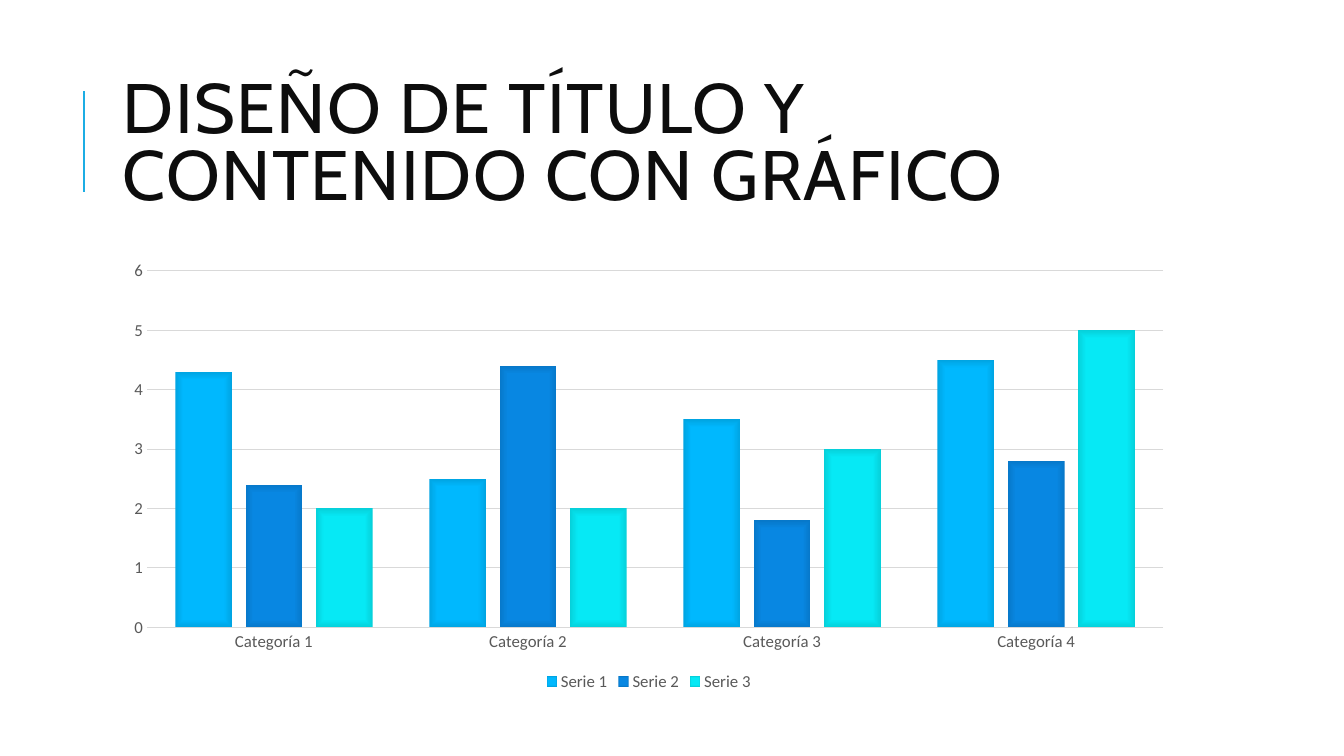
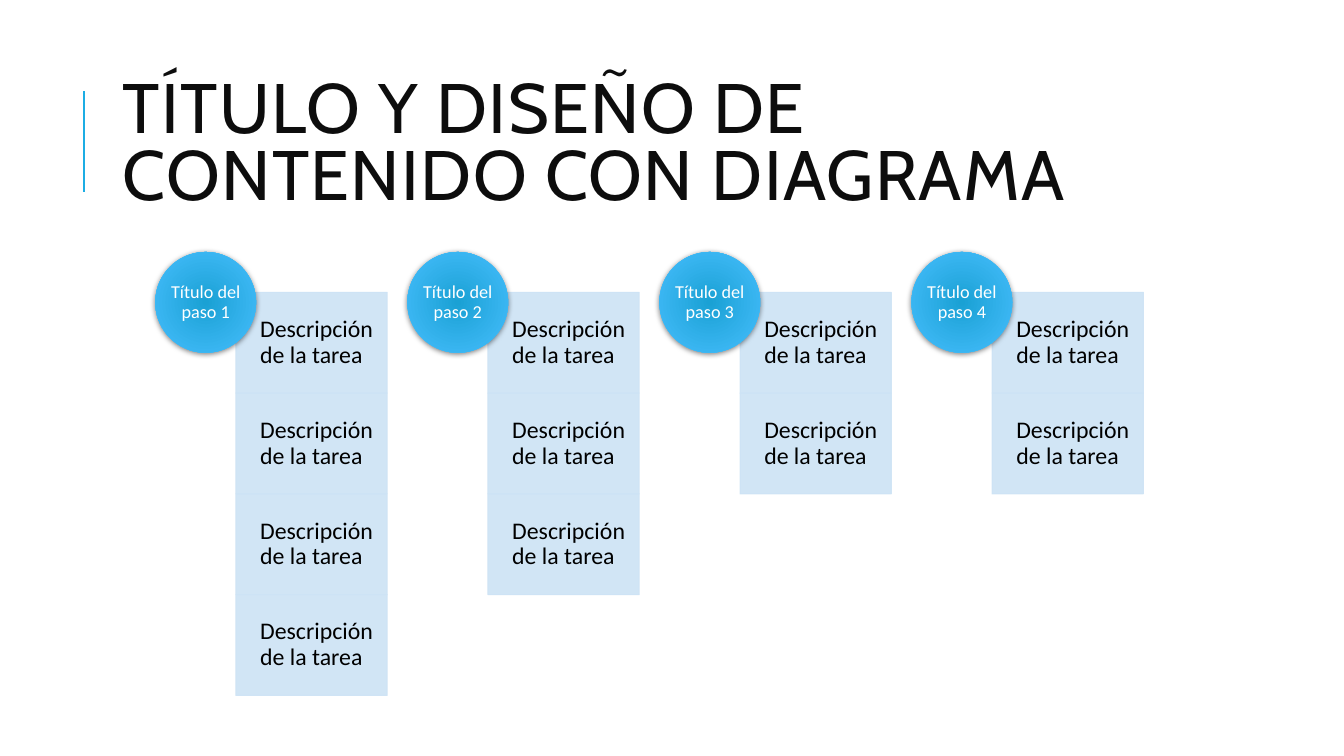
from lxml import etree
from pptx import Presentation
from pptx.chart.data import CategoryChartData
from pptx.dml.color import RGBColor
from pptx.enum.chart import XL_CHART_TYPE, XL_LEGEND_POSITION, XL_TICK_MARK
from pptx.enum.shapes import MSO_CONNECTOR, MSO_SHAPE
from pptx.enum.text import MSO_ANCHOR, PP_ALIGN
from pptx.oxml import parse_xml
from pptx.oxml.ns import nsdecls, qn
from pptx.util import Inches, Pt

COLUMNS = XL_CHART_TYPE.COLUMN_CLUSTERED
BOTTOM = XL_LEGEND_POSITION.BOTTOM
NO_TICK = XL_TICK_MARK.NONE
STRAIGHT = MSO_CONNECTOR.STRAIGHT
RECTANGLE, OVAL = MSO_SHAPE.RECTANGLE, MSO_SHAPE.OVAL
MIDDLE = MSO_ANCHOR.MIDDLE
LEFT, CENTER = PP_ALIGN.LEFT, PP_ALIGN.CENTER

# Content
CHART_TITLE = "DISEÑO DE TÍTULO Y CONTENIDO CON GRÁFICO"
STEPS_TITLE = "TÍTULO Y DISEÑO DE CONTENIDO CON DIAGRAMA"
CATEGORIES = ["Categoría 1", "Categoría 2", "Categoría 3", "Categoría 4"]
SERIES = [
    ("Serie 1", (4.3, 2.5, 3.5, 4.5), ((0, "01B9FF"), (71, "00B8FE"), (100, "00A4E2"))),
    ("Serie 2", (2.4, 4.4, 1.8, 2.8), ((0, "0888E4"), (71, "0887E2"), (100, "0778C9"))),
    ("Serie 3", (2, 2, 3, 5), ((0, "06EBF8"), (71, "06E9F5"), (100, "06D0DA"))),
]
TASK = "Descripción de la tarea"
STEPS = [
    ("Título del paso 1", [TASK] * 4),
    ("Título del paso 2", [TASK] * 3),
    ("Título del paso 3", [TASK] * 2),
    ("Título del paso 4", [TASK] * 2),
]

# Shared style
COLORS = {
    "accent": "1CADE4", "title": "0D0D0D", "task": "CDE3F5", "black": "000000",
    "white": "FFFFFF", "label": "595959", "grid": "D9D9D9",
}
BADGE_STOPS = ((0, "1AA1D4"), (100, "48BFFF"))
TITLE_FONT, BODY_FONT = "Cabin", "Calibri"

# Step diagram geometry, in inches
STEP_LEFT, STEP_TOP, STEP_PITCH = 1.54, 2.5, 2.5
BADGE_SIZE = 1
TASK_SHIFT, TASK_DROP = 0.8, 0.4
TASK_WIDTH, TASK_HEIGHT = 1.5, 1


def rgb(name):
    return RGBColor.from_string(COLORS[name])


def style_font(font, name, size, color):
    font.name, font.size = name, Pt(size)
    font.color.rgb = rgb(color)


def write(shape, text, font, size, color, align, spacing, insets):
    frame = shape.text_frame
    frame.word_wrap = True
    frame.vertical_anchor = MIDDLE
    (frame.margin_left, frame.margin_top,
     frame.margin_right, frame.margin_bottom) = [Inches(inset) for inset in insets]
    para = frame.paragraphs[0]
    para.text = text
    para.alignment, para.line_spacing = align, spacing
    style_font(para.font, font, size, color)
    return para


def set_gradient(fill, properties, stops, path, focus):
    """Swap a solid fill for a path gradient; focus is an inset in percent."""
    fill.solid()
    marks = "".join(f'<a:gs pos="{at * 1000}"><a:srgbClr val="{color}"/></a:gs>'
                    for at, color in stops)
    sides = " ".join(f'{side}="{focus * 1000}"' for side in "ltrb")
    gradient = parse_xml(
        f'<a:gradFill {nsdecls("a")} rotWithShape="1"><a:gsLst>{marks}</a:gsLst>'
        f'<a:path path="{path}"><a:fillToRect {sides}/></a:path></a:gradFill>')
    properties.replace(properties.find(qn("a:solidFill")), gradient)


def add_titled_slide(deck, title):
    page = deck.slides.add_slide(deck.slide_layouts[6])
    rule = page.shapes.add_connector(
        STRAIGHT, Inches(0.83), Inches(1.9), Inches(0.83), Inches(0.9))
    rule.line.color.rgb = rgb("accent")
    rule.line.width = Pt(1.5)
    etree.SubElement(rule._element.spPr, qn("a:effectLst"))
    box = page.shapes.add_textbox(Inches(1.12), Inches(0.64), Inches(10.63), Inches(1.64))
    para = write(box, title, TITLE_FONT, 50, "title", LEFT, 0.8, (0.1, 0.05, 0.1, 0.05))
    para.runs[0]._r.get_or_add_rPr().set("spc", "100")
    return page


def add_column_chart(page):
    data = CategoryChartData()
    data.categories = CATEGORIES
    for name, values, _ in SERIES:
        data.add_series(name, values)
    chart = page.shapes.add_chart(
        COLUMNS, Inches(1.12), Inches(2.5), Inches(10.63), Inches(4.4), data).chart
    style_font(chart.font, BODY_FONT, 12, "label")
    chart.has_title = False
    chart.has_legend = True
    chart.legend.position = BOTTOM
    chart.legend.include_in_layout = False
    style_font(chart.legend.font, BODY_FONT, 12, "label")

    # Axes
    for axis in (chart.category_axis, chart.value_axis):
        axis.major_tick_mark = axis.minor_tick_mark = NO_TICK
        style_font(axis.tick_labels.font, BODY_FONT, 12, "label")
    category_line = chart.category_axis.format.line
    category_line.color.rgb = rgb("grid")
    category_line.width = Pt(1)
    values = chart.value_axis
    values.minimum_scale, values.maximum_scale, values.major_unit = 0, 6, 1
    values.format.line.fill.background()
    values.major_gridlines.format.line.color.rgb = rgb("grid")
    values.major_gridlines.format.line.width = Pt(0.75)

    # Columns
    plot = chart.plots[0]
    plot.gap_width, plot.overlap, plot.vary_by_categories = 100, -24, False
    for series, (_, _, stops) in zip(plot.series, SERIES):
        series.format.line.fill.background()
        fill = series.format.fill
        fill.solid()
        set_gradient(fill, series._element.find(qn("c:spPr")), stops, "rect", 50)


def add_task(page, text, left, top):
    task = page.shapes.add_shape(
        RECTANGLE, Inches(left), Inches(top), Inches(TASK_WIDTH), Inches(TASK_HEIGHT))
    task.shadow.inherit = False
    task.fill.solid()
    task.fill.fore_color.rgb = rgb("task")
    task.line.color.rgb = rgb("task")
    task.line.width = Pt(0.75)
    for color in task._element.spPr.iter(qn("a:srgbClr")):
        etree.SubElement(color, qn("a:alpha"), val="90000")
    write(task, text, BODY_FONT, 17, "black", LEFT, 0.9, (0.24, 0.13, 0.13, 0.13))


def add_badge(page, text, left, top):
    badge = page.shapes.add_shape(
        OVAL, Inches(left), Inches(top), Inches(BADGE_SIZE), Inches(BADGE_SIZE))
    properties = badge._element.spPr
    set_gradient(badge.fill, properties, BADGE_STOPS, "circle", 100)
    badge.line.fill.background()
    properties.append(parse_xml(
        f'<a:effectLst {nsdecls("a")}><a:outerShdw blurRad="{Pt(4)}" dist="{Pt(1)}" '
        f'dir="5400000" rotWithShape="0"><a:srgbClr val="{COLORS["black"]}">'
        '<a:alpha val="50000"/></a:srgbClr></a:outerShdw></a:effectLst>'))
    write(badge, text, BODY_FONT, 13, "white", CENTER, 0.9, (0, 0, 0, 0))


def add_steps(page):
    for column, (title, tasks) in enumerate(STEPS):
        left = STEP_LEFT + column * STEP_PITCH
        for row, task in enumerate(tasks):
            add_task(page, task, left + TASK_SHIFT,
                     STEP_TOP + TASK_DROP + row * TASK_HEIGHT)
        add_badge(page, title, left, STEP_TOP)


def main():
    deck = Presentation()
    deck.slide_width, deck.slide_height = Inches(13.33), Inches(7.5)
    add_column_chart(add_titled_slide(deck, CHART_TITLE))
    add_steps(add_titled_slide(deck, STEPS_TITLE))
    deck.save("out.pptx")


if __name__ == "__main__":
    main()
